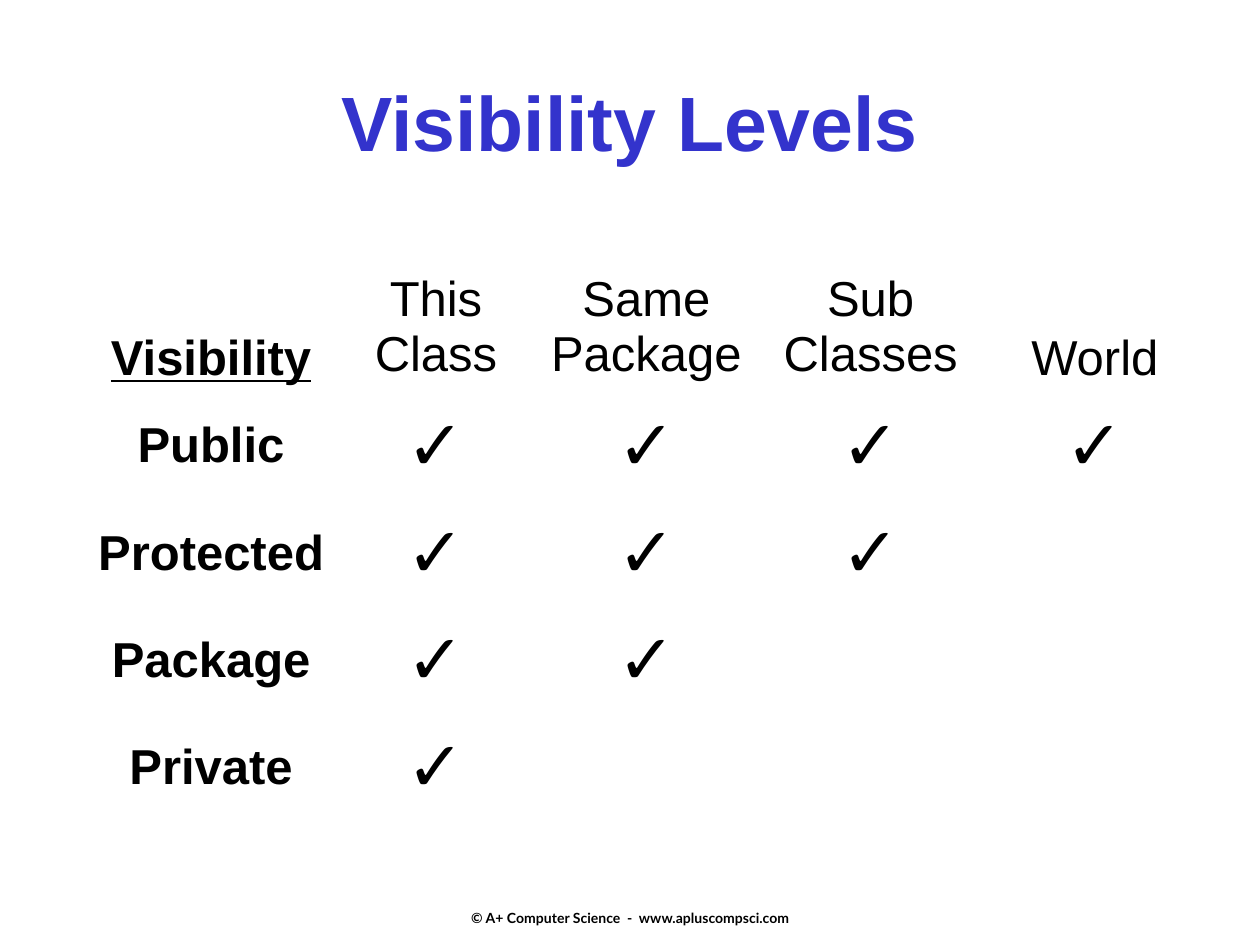
from pptx import Presentation
from pptx.dml.color import RGBColor
from pptx.enum.text import MSO_ANCHOR, PP_ALIGN
from pptx.util import Inches, Pt


def paint(font, tint):
    font.color.rgb = RGBColor.from_string(tint)


def write(frame, text, tint, form):
    para = frame.paragraphs[0]
    para.alignment = PP_ALIGN.CENTER
    run = para.add_run()
    run.text = text
    for name, value in form.items():
        setattr(run.font, name, value)
    paint(run.font, tint)


deck = Presentation()
deck.slide_width, deck.slide_height = Inches(10), Inches(7.5)
slide = deck.slides.add_slide(deck.slide_layouts[6])

black = "000000"
plain = {"name": "Arial", "size": Pt(28), "bold": False}
strong = {**plain, "bold": True}
under = {**strong, "underline": True}
tick = {**plain, "size": Pt(40)}
big = {**strong, "size": Pt(44)}
small = {"name": "Lato", "size": Pt(8), "bold": True}

foot = slide.shapes.add_textbox(Inches(3.42), Inches(6.83), Inches(3.17), Inches(0.52))
foot.text_frame.vertical_anchor = MSO_ANCHOR.BOTTOM
foot.text_frame.margin_bottom = 0
write(foot.text_frame, "© A+ Computer Science  -  www.apluscompsci.com", black, small)

title = slide.shapes.add_textbox(Inches(0.75), Inches(0.33), Inches(8.5), Inches(1.25))
title.text_frame.word_wrap = True
title.text_frame.vertical_anchor = MSO_ANCHOR.MIDDLE
write(title.text_frame, "Visibility Levels", "3333CC", big)

heads = ["Visibility", "This Class", "Same Package", "Sub Classes", "World"]
levels = {"Public": 4, "Protected": 3, "Package": 2, "Private": 1}
rows = [heads] + [[level] + ["✓"] * count for level, count in levels.items()]
wides = [2.01, 1.56, 1.78, 1.78, 1.78]
talls = [1.03] + [0.85] * len(levels)

frame = slide.shapes.add_table(
    len(rows), len(heads), Inches(0.67), Inches(2.08), Inches(sum(wides)), Inches(sum(talls))
)
table = frame.table
table.first_row = table.horz_banding = False
for col, wide in zip(table.columns, wides):
    col.width = Inches(wide)
for row, tall in zip(table.rows, talls):
    row.height = Inches(tall)
for cell in table.iter_cells():
    cell.fill.background()
    cell.vertical_anchor = MSO_ANCHOR.MIDDLE

for r, words in enumerate(rows):
    for c, word in enumerate(words):
        if r == 0:
            form = plain if c else under
        else:
            form = tick if c else strong
        write(table.cell(r, c).text_frame, word, black, form)
for c in (0, 4):
    table.cell(0, c).vertical_anchor = MSO_ANCHOR.BOTTOM

deck.save("out.pptx")
